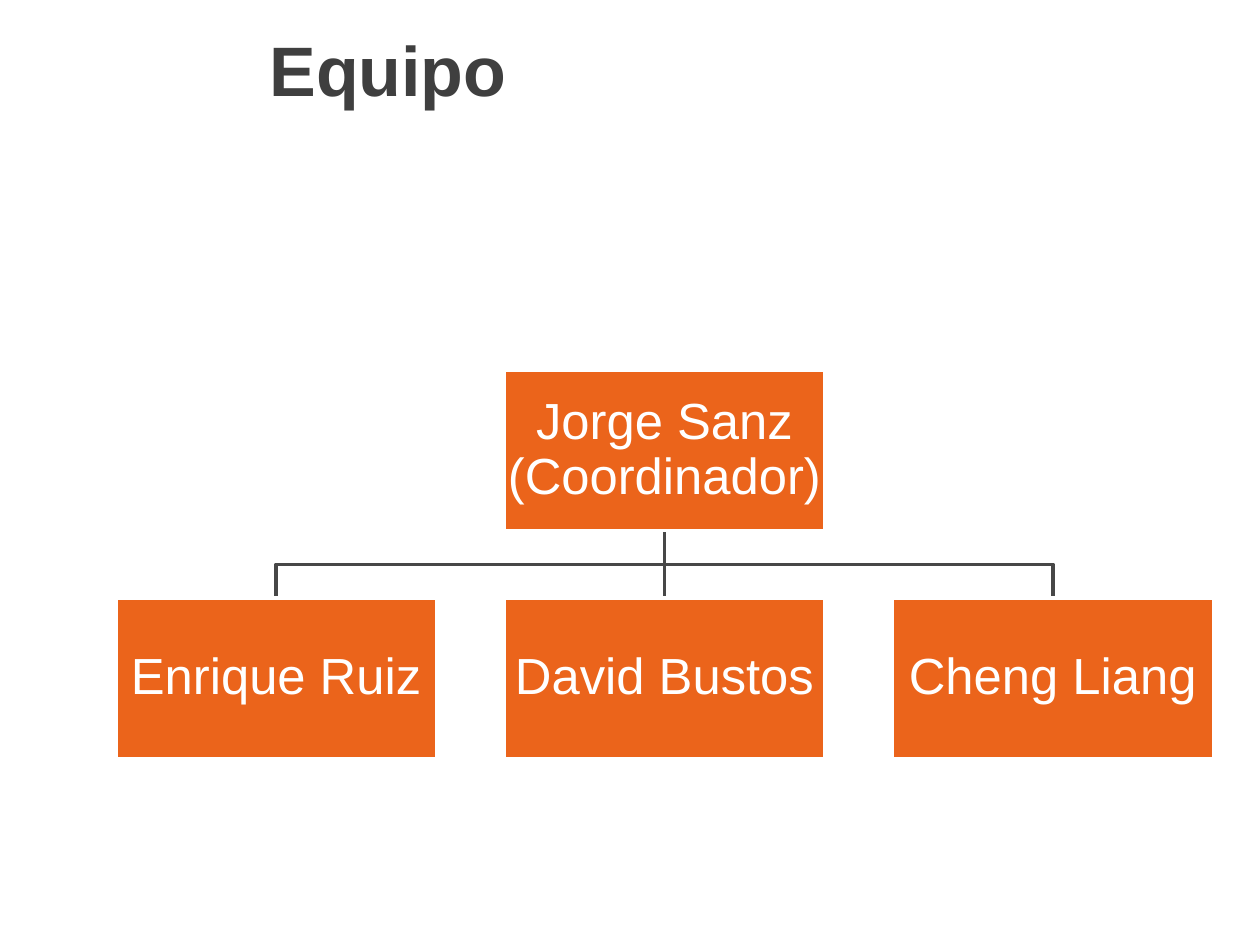
import lxml.etree
import pptx
import pptx.dml.color
import pptx.enum.shapes
import pptx.enum.text
import pptx.oxml.ns
import pptx.util

Pt = pptx.util.Pt

COLORS = {"title": "3F3F3F", "box": "EB641B", "line": "474747", "white": "FFFFFF"}
BOX_WIDTH, BOX_HEIGHT = 183.4, 91.7
MEMBER_LEFT, MEMBER_STEP = 66.2, 221.9
LEADER_TOP, MEMBER_TOP = 211.5, 341.8
LEADER = "Jorge Sanz (Coordinador)"
MEMBERS = ["Enrique Ruiz", "David Bustos", "Cheng Liang"]
BOTTOM_SIDE, TOP_SIDE = 2, 0


class TeamChart:
    """Holds the style and the slide that the elements are added to."""

    font = "Arial"
    line_width = 2

    def __init__(self, slide):
        self.shapes = slide.shapes

    def color(self, name):
        return pptx.dml.color.RGBColor.from_string(COLORS[name])

    def outline(self, shape, color):
        shape.line.color.rgb = self.color(color)
        shape.line.width = Pt(self.line_width)

    def send_to_back(self, shape):
        self.shapes[0].element.addprevious(shape.element)

    def set_text(self, shape, text, size, color, margin, bold=False, spacing=1.0):
        frame = shape.text_frame
        frame.text = text
        frame.word_wrap = True
        frame.vertical_anchor = pptx.enum.text.MSO_ANCHOR.MIDDLE
        frame.margin_left = frame.margin_right = Pt(margin)
        frame.margin_top = frame.margin_bottom = Pt(margin)
        paragraph = frame.paragraphs[0]
        paragraph.alignment = pptx.enum.text.PP_ALIGN.CENTER
        paragraph.line_spacing = spacing
        font = paragraph.runs[0].font
        font.name, font.size, font.bold = self.font, Pt(size), bold
        font.color.rgb = self.color(color)

    def title(self, text, left, top, width, height):
        shape = self.shapes.add_textbox(Pt(left), Pt(top), Pt(width), Pt(height))
        self.set_text(shape, text, 40, "title", 7.2, bold=True)

    def box(self, text, left, top):
        shape = self.shapes.add_shape(
            pptx.enum.shapes.MSO_SHAPE.RECTANGLE,
            Pt(left), Pt(top), Pt(BOX_WIDTH), Pt(BOX_HEIGHT))
        shape.shadow.inherit = False
        shape.fill.solid()
        shape.fill.fore_color.rgb = self.color("box")
        self.outline(shape, "white")
        self.set_text(shape, text, 29, "white", 1.44, spacing=0.9)
        return shape

    def straight_link(self, upper, lower):
        link = self.shapes.add_connector(
            pptx.enum.shapes.MSO_CONNECTOR.STRAIGHT, 0, 0, 0, 0)
        link.begin_connect(upper, BOTTOM_SIDE)
        link.end_connect(lower, TOP_SIDE)
        self.outline(link, "line")
        lxml.etree.SubElement(
            link.element.spPr, pptx.oxml.ns.qn("a:effectLst"))
        self.send_to_back(link)

    def bent_link(self, upper, lower):
        """Runs down, across and down again, turning halfway between the boxes."""
        start_x = upper.left + upper.width // 2
        end_x = lower.left + lower.width // 2
        start_y, end_y = upper.top + upper.height, lower.top
        middle_y = (start_y + end_y) // 2
        builder = self.shapes.build_freeform(start_x, start_y)
        builder.add_line_segments(
            [(start_x, middle_y), (end_x, middle_y), (end_x, end_y)], close=False)
        link = builder.convert_to_shape()
        link.shadow.inherit = False
        link.fill.background()
        self.outline(link, "line")
        self.send_to_back(link)


def main():
    presentation = pptx.Presentation()
    presentation.slide_width, presentation.slide_height = Pt(720), Pt(540)
    slide = presentation.slides.add_slide(presentation.slide_layouts[6])
    chart = TeamChart(slide)

    chart.title("Equipo", 0, -5.8, 443.5, 90)
    leader = chart.box(LEADER, MEMBER_LEFT + MEMBER_STEP, LEADER_TOP)
    for index, name in enumerate(MEMBERS):
        member = chart.box(name, MEMBER_LEFT + index * MEMBER_STEP, MEMBER_TOP)
        if index == 1:
            chart.straight_link(leader, member)
        else:
            chart.bent_link(leader, member)

    presentation.save("out.pptx")


if __name__ == "__main__":
    main()
